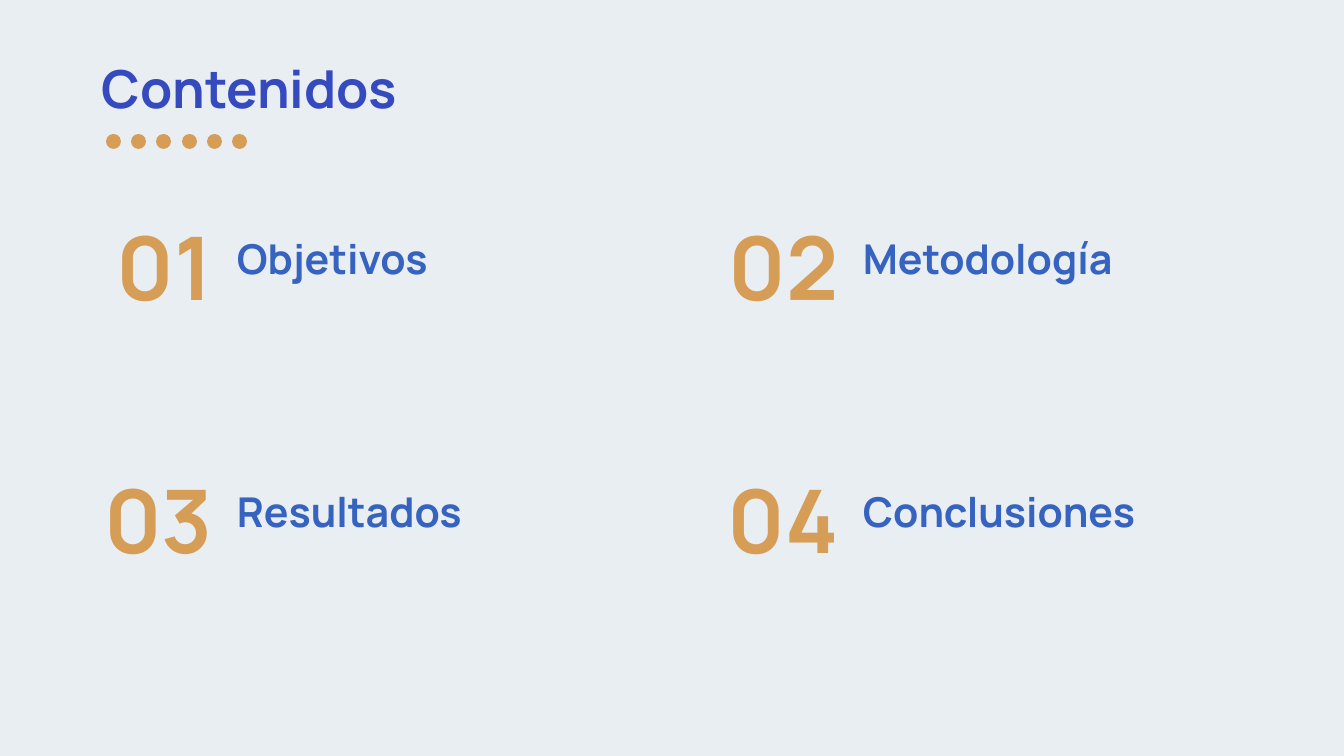
from dataclasses import dataclass

from pptx import Presentation
from pptx.dml.color import RGBColor
from pptx.enum.shapes import MSO_SHAPE
from pptx.enum.text import MSO_ANCHOR, PP_ALIGN
from pptx.util import Emu, Pt

EMU_PER_PX = 914400 / 134.4
OVAL = MSO_SHAPE.OVAL
TOP, MIDDLE = MSO_ANCHOR.TOP, MSO_ANCHOR.MIDDLE
LEFT, RIGHT = PP_ALIGN.LEFT, PP_ALIGN.RIGHT

SECTIONS = ["Objetivos", "Metodología", "Resultados", "Conclusiones"]
COLUMNS = [70, 696]
ROWS = [228, 481]
LABEL_OFFSET = 154
DOT_COUNT = 6
DOT_SPAN = 126


@dataclass(frozen=True)
class Theme:
    font: str = "Manrope"
    background: str = "E9EEF2"
    heading: str = "364ABF"
    label: str = "3663BF"
    accent: str = "D69D56"
    heading_size: int = 28
    label_size: int = 22
    number_size: int = 47


THEME = Theme()


def px(length):
    return Emu(round(length * EMU_PER_PX))


def rgb(color):
    return RGBColor.from_string(color)


def add_text(slide, text, box, *, size, color, align=LEFT, anchor=TOP):
    frame = slide.shapes.add_textbox(*map(px, box)).text_frame
    frame.word_wrap = True
    frame.vertical_anchor = anchor
    frame.margin_left = frame.margin_right = px(13)
    frame.margin_top = frame.margin_bottom = px(13)
    paragraph = frame.paragraphs[0]
    paragraph.alignment = align
    run = paragraph.add_run()
    run.text = text
    run.font.name = THEME.font
    run.font.size = Pt(size)
    run.font.bold = True
    run.font.color.rgb = rgb(color)


def add_dots(slide, left, top, diameter):
    dots = slide.shapes.add_group_shape()
    for index in range(DOT_COUNT):
        dot_left = left + round(index * DOT_SPAN / (DOT_COUNT - 1))
        dot = dots.shapes.add_shape(
            OVAL, px(dot_left), px(top), px(diameter), px(diameter))
        dot.shadow.inherit = False
        dot.fill.solid()
        dot.fill.fore_color.rgb = rgb(THEME.accent)
        dot.line.fill.background()


def add_section(slide, number, name, left, top):
    add_text(slide, f"{number:02d}", (left, top, 156, 75),
             size=THEME.number_size, color=THEME.accent,
             align=RIGHT, anchor=MIDDLE)
    add_text(slide, name, (left + LABEL_OFFSET, top + 6, 374, 48),
             size=THEME.label_size, color=THEME.label, anchor=MIDDLE)


def main():
    deck = Presentation()
    deck.slide_width, deck.slide_height = px(1344), px(756)
    slide = deck.slides.add_slide(deck.slide_layouts[6])
    slide.background.fill.solid()
    slide.background.fill.fore_color.rgb = rgb(THEME.background)

    add_text(slide, "Contenidos", (89, 43, 894, 85),
             size=THEME.heading_size, color=THEME.heading)
    add_dots(slide, 106, 134, 15)
    for index, name in enumerate(SECTIONS):
        row, column = divmod(index, len(COLUMNS))
        add_section(slide, index + 1, name, COLUMNS[column], ROWS[row])

    deck.save("out.pptx")


if __name__ == "__main__":
    main()
